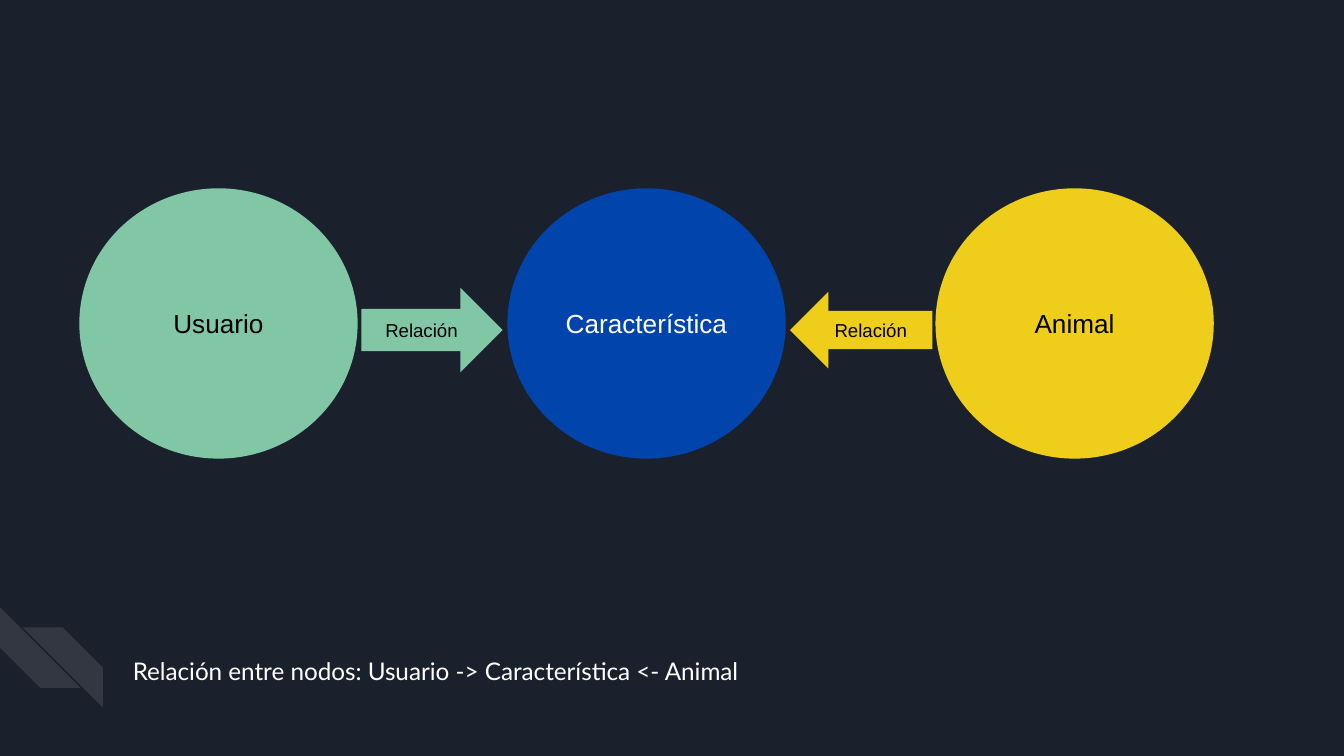
import pptx
import pptx.dml.color
import pptx.enum.shapes
import pptx.enum.text
import pptx.oxml
import pptx.oxml.ns
import pptx.util
from pptx.util import Cm

SHAPES = pptx.enum.shapes.MSO_SHAPE
ALIGN = pptx.enum.text.PP_ALIGN
COLOURS = {
    "background": "1B212C",
    "white": "FFFFFF",
    "black": "000000",
    "user": "82C7A5",
    "feature": "0145AC",
    "animal": "EECE1A",
}
NODE_WIDTH, NODE_HEIGHT = 5.26, 5.11
NODE_LEFT, NODE_TOP, NODE_PITCH = 1.5, 3.56, 8.09
ARROW_MIDDLE = 6.24


def colour(name):
    return pptx.dml.color.RGBColor.from_string(COLOURS[name])


def write_text(shape, text, font, size, text_colour, align):
    frame = shape.text_frame
    frame.word_wrap = True
    frame.vertical_anchor = pptx.enum.text.MSO_ANCHOR.MIDDLE
    frame.margin_left = frame.margin_right = Cm(0.25)
    frame.margin_top = frame.margin_bottom = Cm(0.25)
    para = frame.paragraphs[0]
    para.alignment = align
    span = para.add_run()
    span.text = text
    span.font.name = font
    span.font.size = pptx.util.Pt(size)
    span.font.color.rgb = colour(text_colour)


def add_filled_shape(page, kind, left, top, width, height, fill):
    shape = page.shapes.add_shape(kind, Cm(left), Cm(top), Cm(width), Cm(height))
    shape.shadow.inherit = False
    shape.fill.solid()
    shape.fill.fore_color.rgb = colour(fill)
    shape.line.fill.background()
    return shape


def add_stripe(page, left, top):
    """Add a diagonal corner stripe in white at 10 % opacity."""
    stripe = add_filled_shape(page, SHAPES.DIAGONAL_STRIPE, left, top, 1.52, 1.52, "white")
    properties = stripe.element.spPr
    fill = properties.find(pptx.oxml.ns.qn("a:solidFill"))
    alpha = pptx.oxml.parse_xml(f'<a:alpha {pptx.oxml.ns.nsdecls("a")} val="10000"/>')
    fill[0].append(alpha)
    return stripe


def add_node(page, index, text, fill, text_colour):
    left = NODE_LEFT + index * NODE_PITCH
    node = add_filled_shape(page, SHAPES.OVAL, left, NODE_TOP, NODE_WIDTH, NODE_HEIGHT, fill)
    write_text(node, text, "Arial", 14, text_colour, ALIGN.CENTER)


def add_relation(page, kind, left, width, height, fill):
    top = ARROW_MIDDLE - height / 2
    arrow = add_filled_shape(page, kind, left, top, width, height, fill)
    write_text(arrow, "Relación", "Arial", 10, "black", ALIGN.CENTER)


def add_caption(page, text):
    box = page.shapes.add_textbox(Cm(2.26), Cm(11.96), Cm(19.28), Cm(1.45))
    write_text(box, text, "Lato", 13, "white", ALIGN.LEFT)


def main():
    deck = pptx.Presentation()
    deck.slide_width, deck.slide_height = Cm(25.4), Cm(14.29)
    page = deck.slides.add_slide(deck.slide_layouts[6])
    page.background.fill.solid()
    page.background.fill.fore_color.rgb = colour("background")

    add_stripe(page, 0, 11.48).rotation = 270
    flipped = add_stripe(page, 0.43, 11.86)
    flipped.element.spPr.xfrm.set("flipH", "1")

    add_caption(page, "Relación entre nodos: Usuario -> Característica <- Animal")
    add_node(page, 1, "Característica", "feature", "white")
    add_node(page, 0, "Usuario", "user", "black")
    add_node(page, 2, "Animal", "animal", "black")
    add_relation(page, SHAPES.RIGHT_ARROW, 6.83, 2.67, 1.6, "user")
    add_relation(page, SHAPES.LEFT_ARROW, 14.93, 2.69, 1.45, "animal")
    deck.save("out.pptx")


if __name__ == "__main__":
    main()
